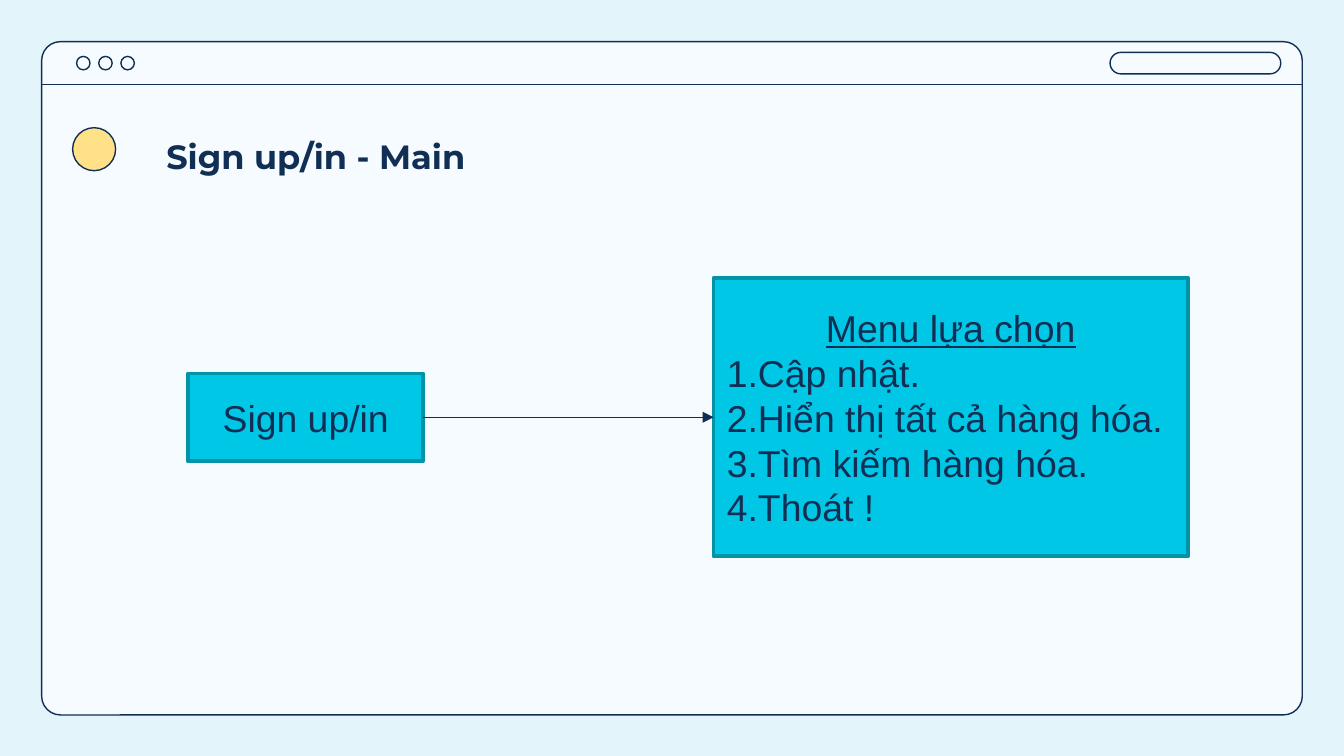
from lxml import etree
from pptx import Presentation
from pptx.dml.color import RGBColor
from pptx.enum.shapes import MSO_CONNECTOR as CONN, MSO_SHAPE as SHAPE
from pptx.enum.text import MSO_ANCHOR as ANCHOR, PP_ALIGN as ALIGN
from pptx.oxml.ns import qn
from pptx.util import Inches, Pt

COLORS = {
    "background": "E3F5FA",
    "window": "F5FBFF",
    "ink": "112E54",
    "arrow": "0F2D54",
    "box": "00C7E6",
    "box_line": "0093AA",
    "dot": "FFE188",
}


def rgb(name):
    return RGBColor.from_string(COLORS[name])


class SlideBuilder:
    """Holds the deck style and the current slide."""

    font, title_font = "Arial", "Montserrat"
    thin, thick = Pt(0.75), Pt(2)

    def __init__(self, prs):
        self.slide = prs.slides.add_slide(prs.slide_layouts[6])
        fill = self.slide.background.fill
        fill.solid()
        fill.fore_color.rgb = rgb("background")

    def shape(self, kind, x, y, w, h, fill=None, line="ink", width=thin, adj=None):
        sp = self.slide.shapes.add_shape(kind, Inches(x), Inches(y), Inches(w), Inches(h))
        sp.shadow.inherit = False
        if fill:
            sp.fill.solid()
            sp.fill.fore_color.rgb = rgb(fill)
        else:
            sp.fill.background()
        sp.line.color.rgb = rgb(line)
        sp.line.width = width
        if adj is not None:
            sp.adjustments[0] = adj
        return sp

    def paragraph(self, p, text, size, font, align=ALIGN.LEFT):
        p.text = text
        p.alignment = align
        p.font.size = Pt(size)
        p.font.name = font
        p.font.color.rgb = rgb("ink")
        return p

    def box(self, x, y, w, h, heading, items=()):
        sp = self.shape(SHAPE.RECTANGLE, x, y, w, h, "box", "box_line", self.thick)
        tf = sp.text_frame
        tf.word_wrap = True
        tf.vertical_anchor = ANCHOR.MIDDLE
        p = self.paragraph(tf.paragraphs[0], heading, 20, self.font, ALIGN.CENTER)
        if items:
            p.font.underline = True
        for item in items:
            self.paragraph(tf.add_paragraph(), item, 20, self.font)
        return sp

    def title(self, x, y, w, h, text):
        tf = self.slide.shapes.add_textbox(Inches(x), Inches(y), Inches(w), Inches(h)).text_frame
        tf.word_wrap = True
        tf.vertical_anchor = ANCHOR.BOTTOM
        tf.margin_left = tf.margin_right = tf.margin_top = tf.margin_bottom = Inches(0.1)
        p = self.paragraph(tf.paragraphs[0], text, 18, self.title_font, ALIGN.CENTER)
        p.font.bold = True
        p.line_spacing = 1.15

    def line(self, x1, y1, x2, y2, color="ink"):
        cxn = self.slide.shapes.add_connector(
            CONN.STRAIGHT, Inches(x1), Inches(y1), Inches(x2), Inches(y2))
        cxn.line.color.rgb = rgb(color)
        cxn.line.width = self.thin
        etree.SubElement(cxn._element.spPr, qn("a:effectLst"))
        return cxn

    def arrow(self, start, end):
        cxn = self.line(0, 0, 1, 1, "arrow")
        cxn.begin_connect(start, 3)
        cxn.end_connect(end, 1)
        ln = cxn._element.spPr.find(qn("a:ln"))
        etree.SubElement(ln, qn("a:tailEnd"), type="triangle")


def main():
    prs = Presentation()
    prs.slide_width = Inches(10)
    prs.slide_height = prs.slide_width * 9 // 16
    s = SlideBuilder(prs)

    # Browser window frame
    s.shape(SHAPE.ROUNDED_RECTANGLE, 0.31, 0.31, 9.38, 5.01, "window", adj=0.028)
    for i in range(3):
        s.shape(SHAPE.OVAL, 0.57 + i * 0.165, 0.42, 0.1, 0.1)
    s.shape(SHAPE.ROUNDED_RECTANGLE, 8.26, 0.39, 1.27, 0.16, adj=0.5)
    s.line(0.31, 0.63, 9.69, 0.63)

    # Flow from sign-in to the menu
    sign_in = s.box(1.4, 2.78, 1.75, 0.65, "Sign up/in")
    menu = s.box(5.31, 2.07, 3.53, 2.07, "Menu lựa chọn", [
        "1.Cập nhật.",
        "2.Hiển thị tất cả hàng hóa.",
        "3.Tìm kiếm hàng hóa.",
        "4.Thoát !",
    ])
    s.arrow(sign_in, menu)

    # Title with its dot
    s.title(0.92, 0.91, 2.86, 0.5, "Sign up/in - Main")
    s.shape(SHAPE.OVAL, 0.54, 0.95, 0.32, 0.32, "dot")

    prs.save("out.pptx")


if __name__ == "__main__":
    main()
